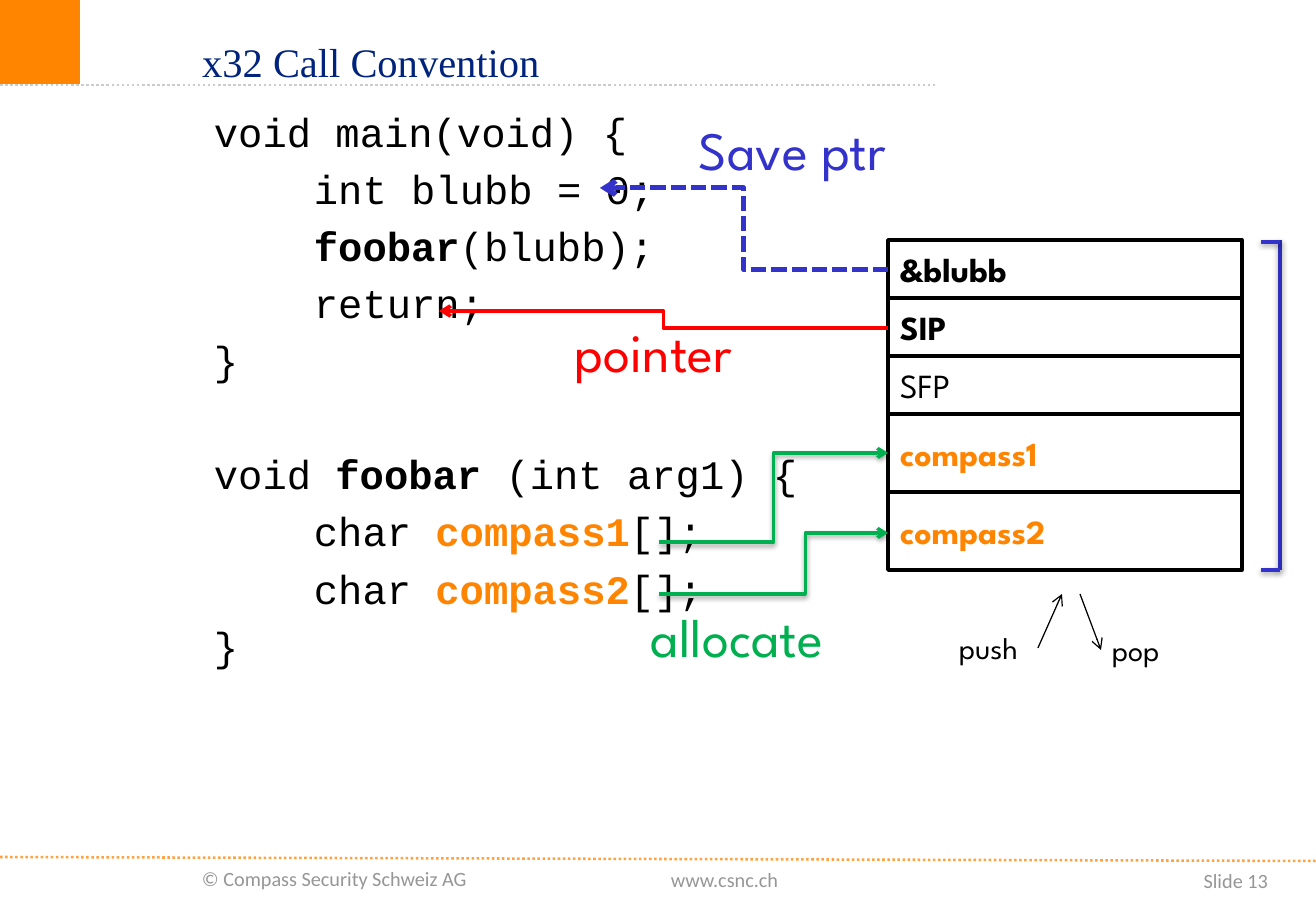
"""Build the slide on the x32 call convention: code, stack frame and their links."""
from dataclasses import dataclass

from lxml import etree
from pptx import Presentation, util as u
from pptx.dml.color import RGBColor
from pptx.enum import dml, shapes, text
from pptx.oxml.ns import qn


@dataclass(frozen=True)
class Theme:
    orange: str = "FF8400"
    navy: str = "00247D"
    black: str = "000000"
    white: str = "FFFFFF"
    muted: str = "969696"
    rule: str = "CBCBCB"
    red: str = "FF0000"
    blue: str = "3333CC"
    deep_blue: str = "2D2DB9"
    green: str = "00B050"
    title_font: str = "Times New Roman"
    code_font: str = "Courier New"
    label_font: str = "League Spartan"
    footer_font: str = "Calibri"
    title_size: int = 24
    code_size: int = 24
    callout_size: int = 32
    cell_size: int = 20
    push_pop_size: int = 18
    footer_size: int = 12


T = Theme()
PX = 7526
SLIDE = (1316, 911)
DOTS = dml.MSO_LINE.ROUND_DOT
DASHES = dml.MSO_LINE.SQUARE_DOT

TITLE = ("x32 Call Convention", (190, 0, 736, 122))
PLAIN, BOLD, BUFFER = (T.black, False), (T.black, True), (T.orange, True)
CODE_AT = (141, 101, 689, 600)
CODE_INDENTS = (61, 161)
LINE_GAP, FUNCTION_GAP = 5, 39
CODE = [
    [(0, [("void main(void) {", PLAIN)]),
     (1, [("int blubb = 0;", PLAIN)]),
     (1, [("foobar", BOLD), ("(blubb);", PLAIN)]),
     (1, [("return;", PLAIN)]),
     (0, [("}", PLAIN)])],
    [(0, [("void ", PLAIN), ("foobar ", BOLD), ("(int arg1) {", PLAIN)]),
     (1, [("char ", PLAIN), ("compass1", BUFFER), ("[];", PLAIN)]),
     (1, [("char ", PLAIN), ("compass2", BUFFER), ("[];", PLAIN)]),
     (0, [("}", PLAIN)])],
]

STACK_LEFT, STACK_TOP, STACK_WIDTH = 888, 240, 354
STACK = [("&blubb", 58, BOLD), ("SIP", 58, BOLD), ("SFP", 58, PLAIN),
         ("compass1", 78, BUFFER), ("compass2", 78, BUFFER)]

FOOTER = [("© Compass Security Schweiz AG", (190, 860, 323, 37), False),
          ("www.csnc.ch", (659, 861, 140, 37), False),
          ("Slide 13", (1128, 862, 152, 41), True)]
CALLOUTS = [("pointer", (563, 313, 191, 78), T.red, T.callout_size),
            ("Save ptr", (687, 110, 227, 78), T.blue, T.callout_size),
            ("allocate", (639, 597, 213, 78), T.green, T.callout_size),
            ("pop", (1100, 625, 82, 49), T.black, T.push_pop_size),
            ("push", (947, 623, 95, 49), T.black, T.push_pop_size)]

RULES = [((0, 857), (1316, 861), T.orange, 75), ((0, 85), (937, 85), T.rule, 100)]
PUSH_POP = [((1080, 594), (1101, 650)), ((1038, 648), (1062, 594))]
POINTERS = [((888, 328), (439, 311), T.red, 2.25, None),
            ((888, 270), (600, 188), T.blue, 3, DASHES)]
ALLOCATIONS = [((659, 542), (888, 453), 50000), ((659, 594), (888, 533), 63900)]
BRACKET = [((1280, 240), (1280, 570), T.deep_blue),
           ((1280, 242), (1261, 242), T.blue),
           ((1280, 570), (1261, 570), T.blue)]


def emu(lengths):
    return [round(length * PX) for length in lengths]


def add_run(paragraph, words, font, size, color, bold=False):
    run = paragraph.add_run()
    run.text = words
    run.font.name, run.font.size, run.font.bold = font, u.Pt(size), bold
    run.font.color.rgb = RGBColor.from_string(color)


def add_label(slide, words, box, font, size, color, right=False):
    frame = slide.shapes.add_textbox(*emu(box)).text_frame
    frame.word_wrap = True
    label = frame.paragraphs[0]
    label.alignment = text.PP_ALIGN.RIGHT if right else text.PP_ALIGN.LEFT
    add_run(label, words, font, size, color)


def add_box(slide, box, fill, outline=None):
    rect = slide.shapes.add_shape(shapes.MSO_SHAPE.RECTANGLE, *emu(box))
    rect.shadow.inherit = False
    rect.fill.solid()
    rect.fill.fore_color.rgb = RGBColor.from_string(fill)
    if outline:
        rect.line.color.rgb = RGBColor.from_string(outline)
        rect.line.width = u.Pt(2)
    else:
        rect.line.fill.background()
    return rect


def add_link(slide, start, end, color, width, dash=None, arrow=False,
             bend=None, shadow=False, opacity=100):
    kind = shapes.MSO_CONNECTOR.ELBOW if bend else shapes.MSO_CONNECTOR.STRAIGHT
    link = slide.shapes.add_connector(kind, *emu(start + end))
    link.line.width = u.Pt(width)
    link.line.color.rgb = RGBColor.from_string(color)
    if dash:
        link.line.dash_style = dash
    props = link._element.spPr
    line = props.find(qn("a:ln"))
    if opacity < 100:
        etree.SubElement(line.find(".//" + qn("a:srgbClr")), qn("a:alpha"),
                         val=str(opacity * 1000))
    if arrow:
        etree.SubElement(line, qn("a:tailEnd"), type="arrow")
    if bend:
        guides = props.find(qn("a:prstGeom")).get_or_add_avLst()
        etree.SubElement(guides, qn("a:gd"), name="adj1", fmla=f"val {bend}")
    effects = etree.SubElement(props, qn("a:effectLst"))
    if shadow:
        outer = etree.SubElement(effects, qn("a:outerShdw"), blurRad="40000",
                                 dist="20000", dir="5400000", rotWithShape="0")
        tint = etree.SubElement(outer, qn("a:srgbClr"), val=T.black)
        etree.SubElement(tint, qn("a:alpha"), val="38000")


def add_title(slide):
    words, box = TITLE
    title = slide.shapes.title
    title.left, title.top, title.width, title.height = emu(box)
    title.text_frame.vertical_anchor = text.MSO_ANCHOR.MIDDLE
    heading = title.text_frame.paragraphs[0]
    heading.alignment = text.PP_ALIGN.LEFT
    add_run(heading, words, T.title_font, T.title_size, T.navy)


def add_code(slide):
    frame = slide.shapes.add_textbox(*emu(CODE_AT)).text_frame
    frame.word_wrap = True
    for f, function in enumerate(CODE):
        for n, (level, spans) in enumerate(function):
            first = f == n == 0
            statement = frame.paragraphs[0] if first else frame.add_paragraph()
            if not first:
                statement.space_before = u.Pt(LINE_GAP if n else FUNCTION_GAP)
            indent = statement._p.get_or_add_pPr()
            indent.set("marL", str(CODE_INDENTS[level] * PX))
            indent.set("indent", "0")
            for words, (color, bold) in spans:
                add_run(statement, words, T.code_font, T.code_size, color, bold)


def add_stack(slide):
    top = STACK_TOP
    for words, height, (color, bold) in STACK:
        cell = add_box(slide, (STACK_LEFT, top, STACK_WIDTH, height), T.white, T.black)
        cell.text_frame.vertical_anchor = text.MSO_ANCHOR.MIDDLE
        entry = cell.text_frame.paragraphs[0]
        entry.alignment = text.PP_ALIGN.LEFT
        add_run(entry, words, T.label_font, T.cell_size, color, bold)
        top += height


def main():
    deck = Presentation()
    deck.slide_width, deck.slide_height = emu(SLIDE)
    slide = deck.slides.add_slide(deck.slide_layouts[5])
    add_box(slide, (0, 0, 80, 84), T.orange)
    for start, end, color, opacity in RULES:
        add_link(slide, start, end, color, 1.5, DOTS, opacity=opacity)
    for words, box, right in FOOTER:
        add_label(slide, words, box, T.footer_font, T.footer_size, T.muted, right)
    add_title(slide)
    add_stack(slide)
    add_code(slide)
    for start, end in PUSH_POP:
        add_link(slide, start, end, T.black, 0.75, arrow=True)
    for start, end, color, width, dash in POINTERS:
        add_link(slide, start, end, color, width, dash, arrow=True, bend=50000)
    for start, end, bend in ALLOCATIONS:
        add_link(slide, start, end, T.green, 2, arrow=True, bend=bend, shadow=True)
    for start, end, color in BRACKET:
        add_link(slide, start, end, color, 2, shadow=True)
    for words, box, color, size in CALLOUTS:
        add_label(slide, words, box, T.label_font, size, color)
    deck.save("out.pptx")


if __name__ == "__main__":
    main()
